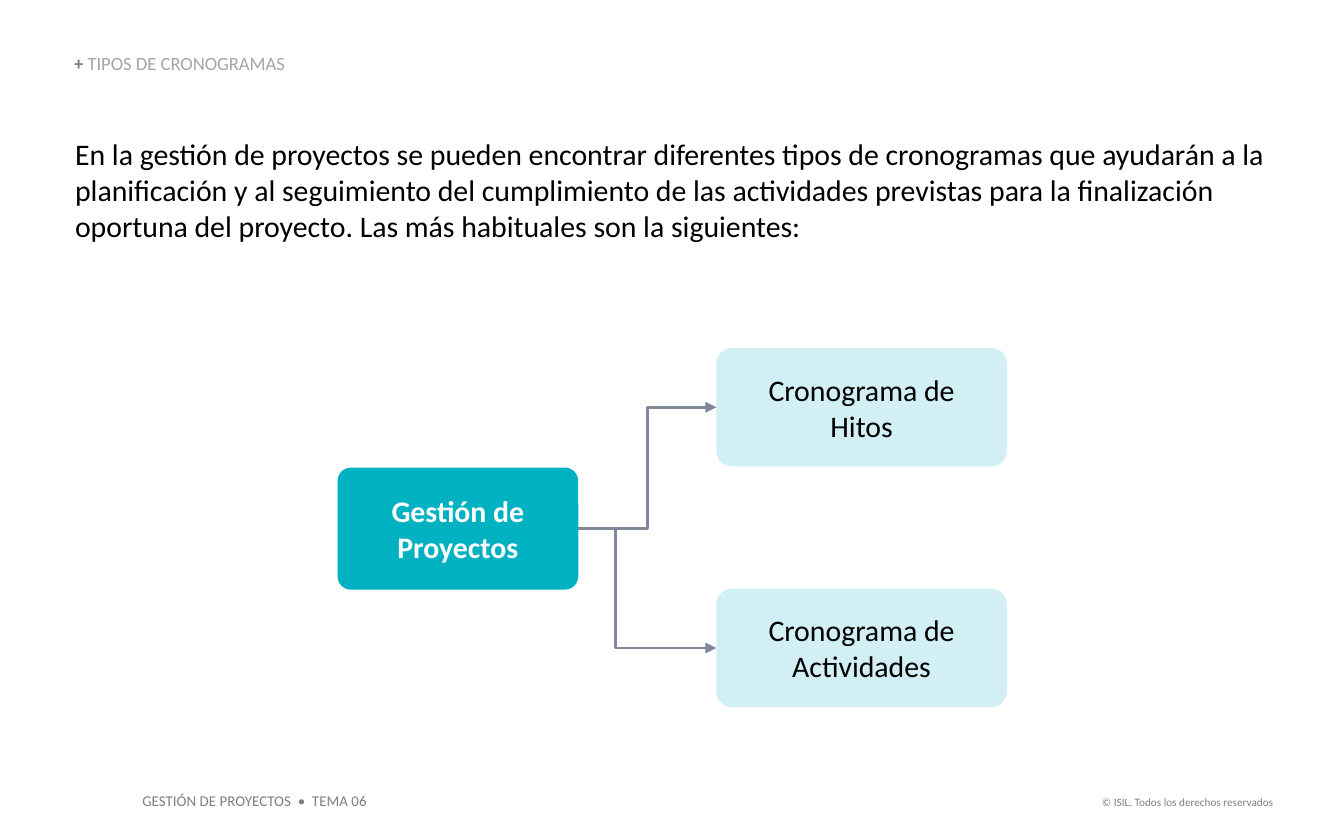
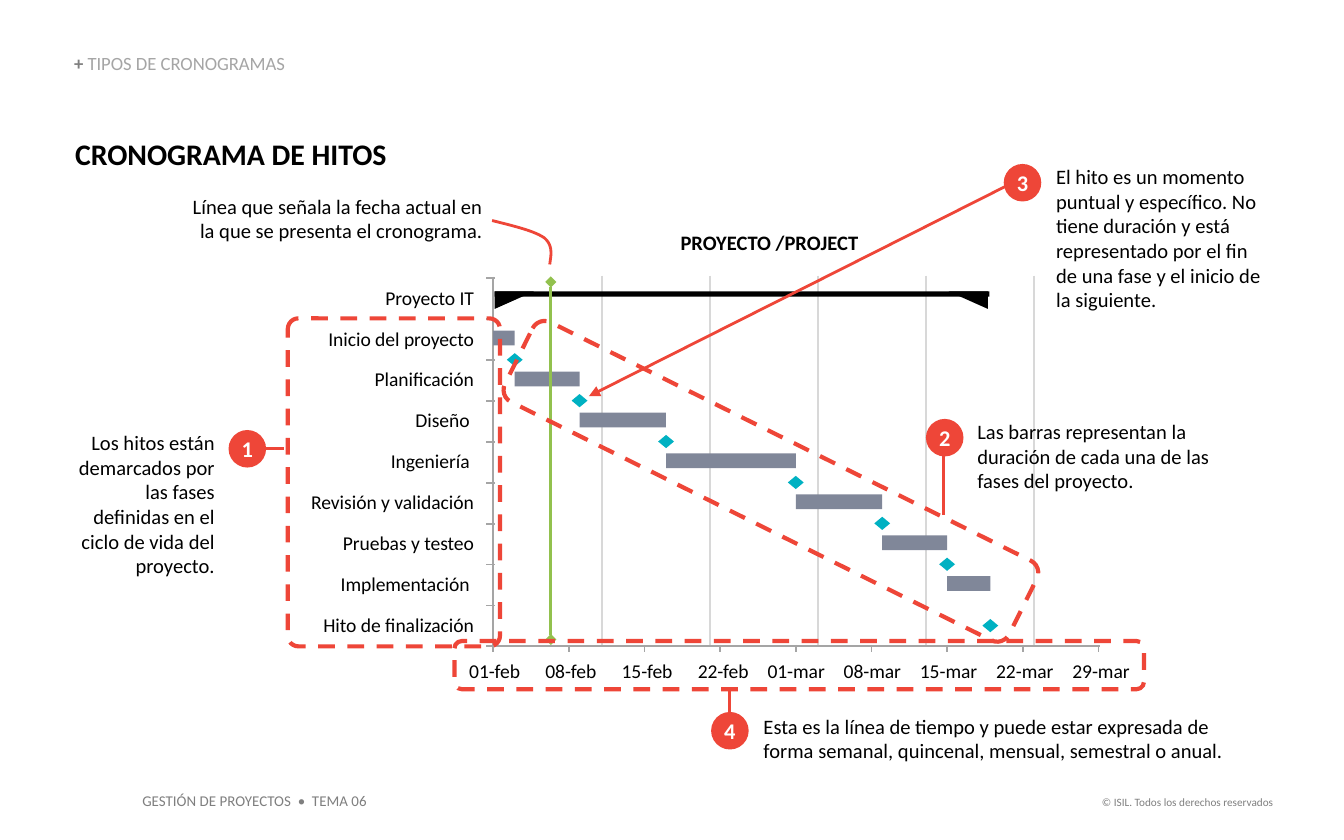
"""Build two slides on project schedule types: an overview diagram and an annotated milestone chart."""
from typing import NamedTuple, Optional

import pptx
import pptx.dml.color
import pptx.enum.dml
import pptx.enum.shapes
import pptx.enum.text
import pptx.oxml.ns
import pptx.util
from lxml import etree

Cm = pptx.util.Cm
Pt = pptx.util.Pt
qn = pptx.oxml.ns.qn
SHAPE = pptx.enum.shapes.MSO_SHAPE
CONNECTOR = pptx.enum.shapes.MSO_CONNECTOR
ALIGN = pptx.enum.text.PP_ALIGN
ANCHOR = pptx.enum.text.MSO_ANCHOR

FONT = "Calibri"
COLORS = {
    "black": "000000",
    "white": "FFFFFF",
    "teal": "00B1C2",
    "pale": "D1EFF4",
    "slate": "808799",
    "red": "EE4638",
    "green": "92C14E",
    "footer": "7F7F7F",
    "axis": "A5A5A5",
    "grid": "D8D8D8",
}

AXIS_X, AXIS_TOP, AXIS_Y = 9.32, 5.26, 12.22
WEEK = 1.43
ROW = (AXIS_Y - AXIS_TOP) / 9
WEEKS = ["01-feb", "08-feb", "15-feb", "22-feb", "01-mar", "08-mar", "15-mar", "22-mar", "29-mar"]


class Box(NamedTuple):
    left: float
    top: float
    width: float
    height: float


class Run(NamedTuple):
    text: str
    size: float
    color: str = "black"
    bold: bool = False


class Phase(NamedTuple):
    name: str
    start: int
    end: int


class Note(NamedTuple):
    text: str
    box: Box
    align: ALIGN = ALIGN.LEFT


class Frame(NamedTuple):
    box: Box
    corner: float
    rotation: float = 0


class Badge(NamedTuple):
    number: str
    left: float
    top: float
    line: tuple[float, float, float, float]
    tail: Optional[str] = None


PHASES = [
    Phase("Inicio del proyecto", 0, 2),
    Phase("Planificación", 2, 8),
    Phase("Diseño ", 8, 16),
    Phase("Ingeniería ", 16, 28),
    Phase("Revisión y validación", 28, 36),
    Phase("Pruebas y testeo", 36, 42),
    Phase("Implementación ", 42, 46),
]

NOTES = [
    Note("Los hitos están demarcados por las fases definidas en el ciclo de vida del proyecto.",
         Box(1.24, 8.13, 2.82, 2.82), ALIGN.RIGHT),
    Note("Esta es la línea de tiempo y puede estar expresada de forma semanal, quincenal, "
         "mensual, semestral o anual.", Box(14.43, 13.49, 9.17, 0.94)),
    Note("El hito es un momento puntual y específico. No tiene duración y está representado "
         "por el fin de una fase y el inicio de la siguiente.", Box(19.96, 3.1, 3.94, 2.82)),
    Note("Las barras representan la duración de cada una de las fases del proyecto.",
         Box(18.47, 7.92, 4.57, 1.42)),
    Note("Línea que señala la fecha actual en la que se presenta el cronograma.",
         Box(3.61, 3.66, 5.51, 0.94), ALIGN.RIGHT),
]

FRAMES = [
    Frame(Box(5.44, 6.02, 4.01, 6.2), 0.05),
    Frame(Box(8.59, 12.12, 13.03, 0.91), 0.15),
    Frame(Box(9.25, 8.26, 10.64, 1.68), 0.15, 26.4),
]

BADGES = [
    Badge("1", 4.32, 8.13, (5.36, 8.48, 4.72, 8.48)),
    Badge("2", 17.5, 7.92, (17.83, 9.73, 17.83, 8.41)),
    Badge("3", 18.97, 3.1, (19.15, 3.45, 11.13, 7.49), "triangle"),
    Badge("4", 13.44, 13.46, (13.79, 13.72, 13.79, 13.06)),
]

TODAY_CURVES = [
    [(9.3, 4.17), (9.7, 4.27), (10.11, 4.37), (10.29, 4.5)],
    [(10.29, 4.5), (10.46, 4.65), (10.41, 4.83), (10.39, 5.0)],
]


def rgb(name: str) -> pptx.dml.color.RGBColor:
    return pptx.dml.color.RGBColor.from_string(COLORS[name])


def write(sp, runs: list[Run], align=ALIGN.LEFT, anchor=ANCHOR.TOP, inset=(0, 0)):
    tf = sp.text_frame
    tf.word_wrap = True
    tf.vertical_anchor = anchor
    tf.margin_left = tf.margin_right = Cm(inset[0])
    tf.margin_top = tf.margin_bottom = Cm(inset[1])
    p = tf.paragraphs[0]
    p.alignment = align
    for run in runs:
        r = p.add_run()
        r.text = run.text
        r.font.name = FONT
        r.font.size = Pt(run.size)
        r.font.bold = run.bold
        r.font.color.rgb = rgb(run.color)
    return p


def add_text(s, box: Box, run: Run, align=ALIGN.LEFT, inset=(0, 0)):
    sp = s.shapes.add_textbox(*map(Cm, box))
    write(sp, [run], align, inset=inset)
    return sp


def add_shape(s, kind: SHAPE, box: Box, fill: Optional[str] = None):
    sp = s.shapes.add_shape(kind, *map(Cm, box))
    sp.shadow.inherit = False
    sp.line.fill.background()
    if fill:
        sp.fill.solid()
        sp.fill.fore_color.rgb = rgb(fill)
    else:
        sp.fill.background()
    return sp


def add_line(s, points: tuple[float, float, float, float], color: str, width: float = 1,
             head: Optional[str] = None, tail: Optional[str] = None, kind=CONNECTOR.STRAIGHT):
    c = s.shapes.add_connector(kind, *map(Cm, points))
    c.line.color.rgb = rgb(color)
    c.line.width = Pt(width)
    pr = c.element.spPr
    for tag, end in (("a:headEnd", head), ("a:tailEnd", tail)):
        if end:
            etree.SubElement(pr.find(qn("a:ln")), qn(tag), type=end)
    etree.SubElement(pr, qn("a:effectLst"))
    return c


def add_slide(prs, layout):
    s = prs.slides.add_slide(layout)
    title = s.shapes.title
    title.left, title.top, title.width, title.height = map(Cm, (1.4, 1.04, 6.76, 0.38))
    runs = [Run("+ ", 10, "footer", True), Run("TIPOS DE CRONOGRAMAS", 10, "axis")]
    p = write(title, runs, anchor=ANCHOR.BOTTOM)
    p.line_spacing = 0.9
    title.text_frame.auto_size = pptx.enum.text.MSO_AUTO_SIZE.NONE
    return s


def add_footers(s, layout) -> None:
    inset = (0.25, 0.13)
    footers = [
        add_text(s, Box(20.09, 14.91, 4.22, 0.51),
                 Run("© ISIL. Todos los derechos reservados", 6, "footer"), ALIGN.RIGHT, inset),
        add_text(s, Box(2.44, 14.83, 4.75, 0.61),
                 Run("GESTIÓN DE PROYECTOS  •  TEMA 06", 8, "footer"), inset=inset),
    ]
    for sp in footers:
        layout.shapes.element.append(sp.element)


def add_node(s, text: str, box: Box, corner: float, fill: str, color: str, bold: bool = False):
    sp = add_shape(s, SHAPE.ROUNDED_RECTANGLE, box, fill)
    sp.adjustments[0] = corner
    write(sp, [Run(text, 16, color, bold)], ALIGN.CENTER, ANCHOR.MIDDLE, (0.25, 0.13))
    return sp


def draw_overview(s) -> None:
    add_text(s, Box(1.42, 2.57, 22.73, 2.06), Run(
        "En la gestión de proyectos se pueden encontrar diferentes tipos de cronogramas que "
        "ayudarán a la planificación y al seguimiento del cumplimiento de las actividades "
        "previstas para la finalización oportuna del proyecto. Las más habituales son la "
        "siguientes:", 16))
    root = add_node(s, "Gestión de Proyectos", Box(6.38, 8.84, 4.55, 2.31), 0.11, "teal", "white", True)
    for name, top, bend in (("Hitos", 6.58, 50000), ("Actividades", 11.13, 27100)):
        node = add_node(s, f"Cronograma de {name}", Box(13.54, top, 5.49, 2.24), 0.13, "pale", "black")
        c = add_line(s, (10.93, 10, 13.54, top + 1.12), "slate", 1.5,
                     tail="triangle", kind=CONNECTOR.ELBOW)
        c.begin_connect(root, 3)
        c.end_connect(node, 1)
        guides = c.element.spPr.find(qn("a:prstGeom")).find(qn("a:avLst"))
        etree.SubElement(guides, qn("a:gd"), name="adj1", fmla=f"val {bend}")


def day_x(day: int) -> float:
    return AXIS_X + day * WEEK / 7


def draw_axes(s) -> None:
    for i in range(5):
        x = 11.38 + 2.04 * i
        add_line(s, (x, 5.21, x, 12.19), "grid")
    add_line(s, (20.78, AXIS_Y, AXIS_X, AXIS_Y), "axis")
    add_line(s, (AXIS_X, 5.23, AXIS_X, 12.32), "axis")
    for i, week in enumerate(WEEKS):
        if i:
            x = AXIS_X + WEEK * i
            add_line(s, (x, 12.19, x, 12.32), "axis")
        add_text(s, Box(8.61 + 1.44 * i, 12.45, 1.22, 0.46), Run(week, 10.5), ALIGN.RIGHT)
    for i in range(10):
        y = AXIS_TOP + ROW * i
        add_line(s, (9.35, y, 9.19, y), "axis")
    names = ["Proyecto IT", *(phase.name for phase in PHASES), "Hito de finalización"]
    for i, name in enumerate(names):
        add_text(s, Box(5.61, 5.4 + ROW * i, 3.35, 0.46), Run(name, 10.5), ALIGN.RIGHT)


def draw_schedule(s) -> None:
    add_text(s, Box(11.51, 4.34, 6.07, 0.48), Run("PROYECTO /PROJECT", 11, bold=True), ALIGN.CENTER)
    add_shape(s, SHAPE.RECTANGLE, Box(9.35, 5.51, 9.35, 0.1), "black")
    for left, flipped in ((9.35, True), (17.93, False)):
        sp = add_shape(s, SHAPE.RIGHT_TRIANGLE, Box(left, 5.51, 0.74, 0.33), "black")
        sp.rotation = 180
        if flipped:
            sp.element.spPr.find(qn("a:xfrm")).set("flipH", "1")
    for i, phase in enumerate(PHASES, start=1):
        start, end = day_x(phase.start), day_x(phase.end)
        y = AXIS_TOP + ROW * i
        add_shape(s, SHAPE.RECTANGLE, Box(start, y + 0.22, end - start, 0.28), "slate")
        milestone_y = y + ROW * (1.5 if phase is PHASES[-1] else 1)
        add_shape(s, SHAPE.FLOWCHART_SORT, Box(end - 0.15, milestone_y - 0.13, 0.3, 0.25), "teal")
    add_line(s, (10.41, 5.33, 10.41, 12.09), "green", 1.5, "diamond", "diamond")


def draw_today_curve(s) -> None:
    points = []
    for a, b, c, d in TODAY_CURVES:
        for step in range(13):
            t = step / 12
            weights = ((1 - t) ** 3, 3 * t * (1 - t) ** 2, 3 * t * t * (1 - t), t ** 3)
            points.append(tuple(Cm(sum(w * q[k] for w, q in zip(weights, (a, b, c, d))))
                                for k in (0, 1)))
    builder = s.shapes.build_freeform(*points[0])
    builder.add_line_segments(points[1:], close=False)
    sp = builder.convert_to_shape()
    sp.shadow.inherit = False
    sp.fill.background()
    sp.line.color.rgb = rgb("red")
    sp.line.width = Pt(1.5)


def draw_callouts(s) -> None:
    for frame in FRAMES:
        sp = add_shape(s, SHAPE.ROUNDED_RECTANGLE, frame.box)
        sp.adjustments[0] = frame.corner
        sp.rotation = frame.rotation
        sp.line.color.rgb = rgb("red")
        sp.line.width = Pt(2.25)
        sp.line.dash_style = pptx.enum.dml.MSO_LINE.DASH
    draw_today_curve(s)
    for badge in BADGES:
        add_line(s, badge.line, "red", 1.5, tail=badge.tail)
        sp = add_shape(s, SHAPE.OVAL, Box(badge.left, badge.top, 0.71, 0.71), "red")
        write(sp, [Run(badge.number, 12, "white", True)], ALIGN.CENTER, ANCHOR.MIDDLE)
    for note in NOTES:
        add_text(s, note.box, Run(note.text, 11), note.align)


def main() -> None:
    prs = pptx.Presentation()
    prs.slide_width, prs.slide_height = Cm(25.4), Cm(15.88)
    layout = prs.slide_layouts.get_by_name("Title Only")
    for ph in list(layout.placeholders)[1:]:
        layout.shapes.element.remove(ph.element)
    overview = add_slide(prs, layout)
    add_footers(overview, layout)
    draw_overview(overview)
    milestones = add_slide(prs, layout)
    add_text(milestones, Box(1.42, 2.57, 13.08, 0.69), Run("CRONOGRAMA DE HITOS", 16, bold=True))
    draw_axes(milestones)
    draw_schedule(milestones)
    draw_callouts(milestones)
    prs.save("out.pptx")


if __name__ == "__main__":
    main()
